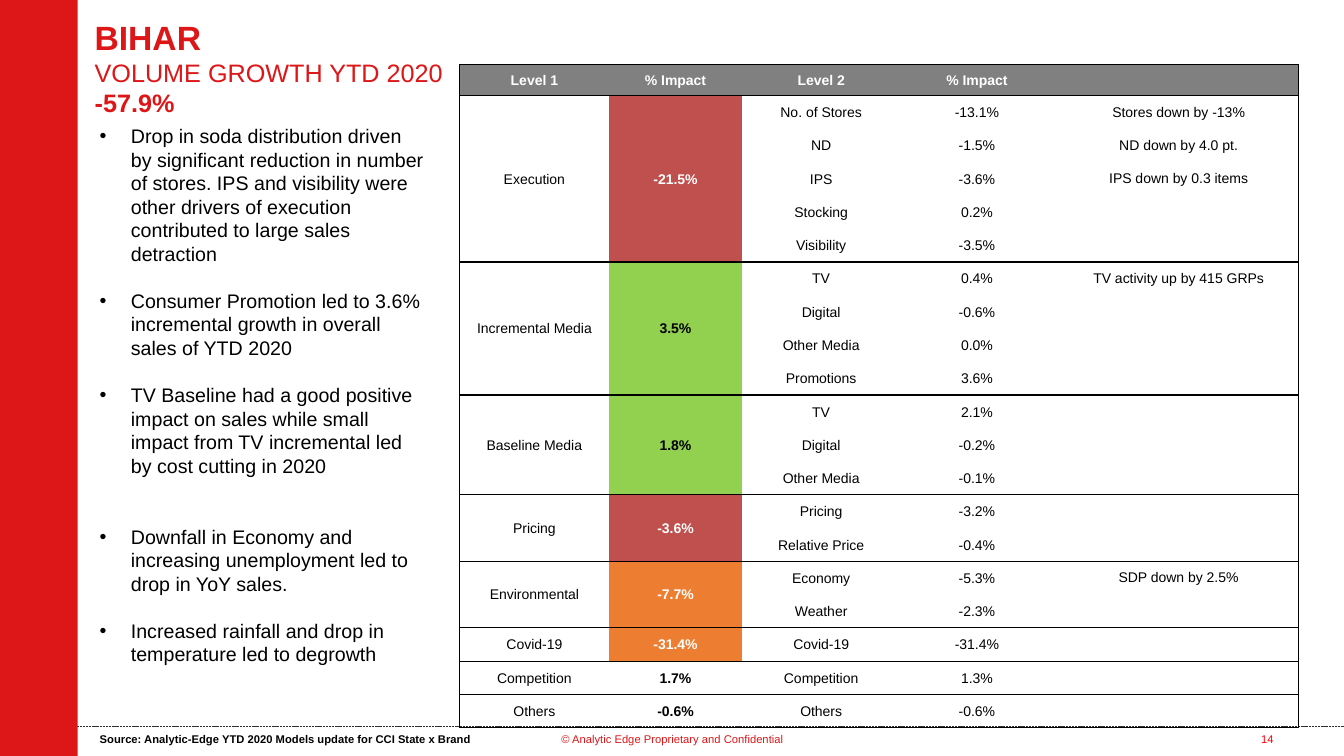
from dataclasses import dataclass
from typing import Any

from lxml.etree import SubElement
from pptx import Presentation
from pptx.dml.color import RGBColor
from pptx.enum.dml import MSO_LINE
from pptx.enum.shapes import MSO_CONNECTOR, MSO_SHAPE
from pptx.enum.text import MSO_ANCHOR, PP_ALIGN
from pptx.oxml.ns import qn
from pptx.util import Inches, Pt

BRAND_RED, BLACK, WHITE, GREY = "DD1618", "000000", "FFFFFF", "808080"
LOSS, GAIN, WARNING = "C0504D", "92D050", "ED7D31"
NO_GRID_STYLE = "{2D5ABB26-0587-4C30-8999-92F81FD0307C}"
BULLET_LINE = 16.9


@dataclass
class Driver:
    name: str
    impact: str
    note: str = ""


@dataclass
class Group:
    name: str
    impact: str
    drivers: list[Driver]
    fill: str | None = None
    color: str = BLACK


@dataclass
class Bullet:
    text: str
    blank_lines: int = 1


@dataclass
class Label:
    text: str
    left: float
    width: float
    height: float
    color: str
    align: PP_ALIGN = PP_ALIGN.CENTER
    bold: bool = False
    wrap: bool = True


GROUPS = [
    Group("Execution", "-21.5%", [
        Driver("No. of Stores", "-13.1%", "Stores down by -13%"),
        Driver("ND", "-1.5%", "ND down by 4.0 pt."),
        Driver("IPS", "-3.6%", "IPS down by 0.3 items"),
        Driver("Stocking", "0.2%"),
        Driver("Visibility", "-3.5%")], LOSS, WHITE),
    Group("Incremental Media", "3.5%", [
        Driver("TV", "0.4%", "TV activity up by 415 GRPs"),
        Driver("Digital", "-0.6%"),
        Driver("Other Media", "0.0%"),
        Driver("Promotions", "3.6%")], GAIN),
    Group("Baseline Media", "1.8%", [
        Driver("TV", "2.1%"),
        Driver("Digital", "-0.2%"),
        Driver("Other Media", "-0.1%")], GAIN),
    Group("Pricing", "-3.6%", [
        Driver("Pricing", "-3.2%"),
        Driver("Relative Price", "-0.4%")], LOSS, WHITE),
    Group("Environmental", "-7.7%", [
        Driver("Economy", "-5.3%", "SDP down by 2.5%"),
        Driver("Weather", "-2.3%")], WARNING, WHITE),
    Group("Covid-19", "-31.4%", [Driver("Covid-19", "-31.4%")], WARNING, WHITE),
    Group("Competition", "1.7%", [Driver("Competition", "1.3%")]),
    Group("Others", "-0.6%", [Driver("Others", "-0.6%")]),
]
BULLETS = [
    Bullet("Drop in soda distribution driven by significant reduction in number of stores. "
           "IPS and visibility were other drivers of execution contributed to large sales "
           "detraction", 0),
    Bullet("Consumer Promotion led to 3.6% incremental growth in overall sales of YTD 2020"),
    Bullet("TV Baseline had a good positive impact on sales while small impact from TV "
           "incremental led by cost cutting in 2020"),
    Bullet("Downfall in Economy and increasing unemployment led to drop in YoY sales.", 2),
    Bullet("Increased rainfall and drop in temperature led to degrowth"),
]
LABELS = [
    Label("© Analytic Edge Proprietary and Confidential", 5.27, 2.8, 0.25, BRAND_RED),
    Label("14", 12.26, 0.62, 0.25, "FF0000"),
    Label("Source: Analytic-Edge YTD 2020 Models update for CCI State x Brand",
          0.89, 3.89, 0.24, BLACK, PP_ALIGN.LEFT, True, False),
]


def rgb(value: str) -> RGBColor:
    return RGBColor.from_string(value)


def apply(target: Any, formats: dict[str, Any]) -> None:
    for name, value in formats.items():
        setattr(target, name, value)


def add_span(para: Any, text: str, size: float, color: str, bold: bool = False) -> None:
    span = para.add_run()
    span.text = text
    apply(span.font, {"name": "Arial", "size": Pt(size), "bold": bold})
    span.font.color.rgb = rgb(color)


def add_box(page: Any, left: float, top: float, width: float, height: float,
            wrap: bool = True) -> Any:
    """Add a text box and return its text frame."""
    box = page.shapes.add_textbox(Inches(left), Inches(top), Inches(width), Inches(height))
    box.text_frame.word_wrap = wrap
    return box.text_frame


def add_frame(page: Any) -> None:
    """Draw the footer rule and the red side band."""
    rule = page.shapes.add_connector(MSO_CONNECTOR.STRAIGHT, Inches(0.71), Inches(7.21),
                                     Inches(13.33), Inches(7.21))
    apply(rule.line, {"width": Pt(0.5), "dash_style": MSO_LINE.SQUARE_DOT})
    rule.line.color.rgb = rgb("2E2E30")
    SubElement(rule.element.spPr, qn("a:effectLst"))
    band = page.shapes.add_shape(MSO_SHAPE.RECTANGLE, 0, 0, Inches(0.77), Inches(7.5))
    band.shadow.inherit = False
    band.fill.solid()
    band.fill.fore_color.rgb = rgb(BRAND_RED)
    band.line.fill.background()


def add_title(page: Any) -> None:
    frame = add_box(page, 0.84, 0.12, 10.25, 0.86)
    para = frame.paragraphs[0]
    add_span(para, "BIHAR", 24, BRAND_RED, True)
    para.add_line_break()
    add_span(para, "VOLUME GROWTH YTD 2020", 18, BRAND_RED)
    para.add_line_break()
    add_span(para, "-57.9%", 18, BRAND_RED, True)


def add_bullets(page: Any) -> None:
    frame = add_box(page, 0.89, 1.18, 3.43, 5.52)
    for index, bullet in enumerate(BULLETS):
        para = frame.paragraphs[0] if index == 0 else frame.add_paragraph()
        if bullet.blank_lines:
            para.space_before = Pt(BULLET_LINE * bullet.blank_lines)
        props = para._p.get_or_add_pPr()
        props.set("marL", str(Inches(0.31)))
        props.set("indent", str(Inches(-0.31)))
        SubElement(props, qn("a:buFont"), typeface="Arial")
        SubElement(props, qn("a:buChar"), char="•")
        add_span(para, bullet.text, 14, BLACK)


def format_cell(cell: Any, text: str, borders: str, fill: str | None = None,
                color: str = BLACK, bold: bool = False, note: bool = False) -> None:
    """Fill one cell; borders names the ruled sides among L, R, T and B."""
    sides = (0.1, 0.05, 0.05, 0.05) if note and text else (0.01, 0.01, 0.01, 0)
    names = ("margin_left", "margin_right", "margin_top", "margin_bottom")
    apply(cell, {name: Inches(side) for name, side in zip(names, sides)})
    cell.vertical_anchor = MSO_ANCHOR.MIDDLE
    props = cell._tc.get_or_add_tcPr()
    for side in "LRTB":
        edge = SubElement(props, qn(f"a:ln{side}"), w=str(Pt(1)))
        if side in borders:
            SubElement(SubElement(edge, qn("a:solidFill")), qn("a:srgbClr"), val=BLACK)
        else:
            SubElement(edge, qn("a:noFill"))
    if fill:
        cell.fill.solid()
        cell.fill.fore_color.rgb = rgb(fill)
    else:
        cell.fill.background()
    para = cell.text_frame.paragraphs[0]
    para.alignment = PP_ALIGN.CENTER
    if text:
        add_span(para, text, 10, color, bold)
    else:
        SubElement(para._p, qn("a:endParaRPr"), sz="1000")


def add_impact_table(page: Any) -> None:
    row_count = 1 + sum(len(group.drivers) for group in GROUPS)
    shape = page.shapes.add_table(row_count, 5, Inches(4.56), Inches(0.64),
                                  Inches(8.32), Inches(6.58))
    table = shape.table
    shape.element.find(f".//{qn('a:tableStyleId')}").text = NO_GRID_STYLE
    for column, width in zip(table.columns, (1.48, 1.32, 1.57, 1.52, 2.43)):
        column.width = Inches(width)
    for index, row in enumerate(table.rows):
        row.height = Inches(0.33 if index else 0.31)
    outer = ("L", "", "", "", "R")
    for column, text in enumerate(("Level 1", "% Impact", "Level 2", "% Impact", "")):
        format_cell(table.cell(0, column), text, outer[column] + "TB", GREY, WHITE, True)
    first = 1
    for group in GROUPS:
        last = first + len(group.drivers) - 1
        for row, driver in enumerate(group.drivers, first):
            edges = ("T" if row == first else "") + ("B" if row == last else "")
            for column, text in enumerate((driver.name, driver.impact, driver.note), 2):
                format_cell(table.cell(row, column), text, outer[column] + edges,
                            note=column == 4)
        edges = "TB"
        if last > first:
            edges = "T"
            for column in (0, 1):
                table.cell(first, column).merge(table.cell(last, column))
        format_cell(table.cell(first, 0), group.name, "L" + edges)
        format_cell(table.cell(first, 1), group.impact, edges, group.fill, group.color, True)
        first = last + 1


def add_label(page: Any, label: Label) -> None:
    frame = add_box(page, label.left, 7.22, label.width, label.height, label.wrap)
    para = frame.paragraphs[0]
    para.alignment = label.align
    add_span(para, label.text, 8, label.color, label.bold)


def main() -> None:
    deck = Presentation()
    apply(deck, {"slide_width": Inches(13.33), "slide_height": Inches(7.5)})
    page = deck.slides.add_slide(deck.slide_layouts[6])
    add_frame(page)
    add_bullets(page)
    add_title(page)
    add_impact_table(page)
    for label in LABELS:
        add_label(page, label)
    deck.save("out.pptx")


if __name__ == "__main__":
    main()
